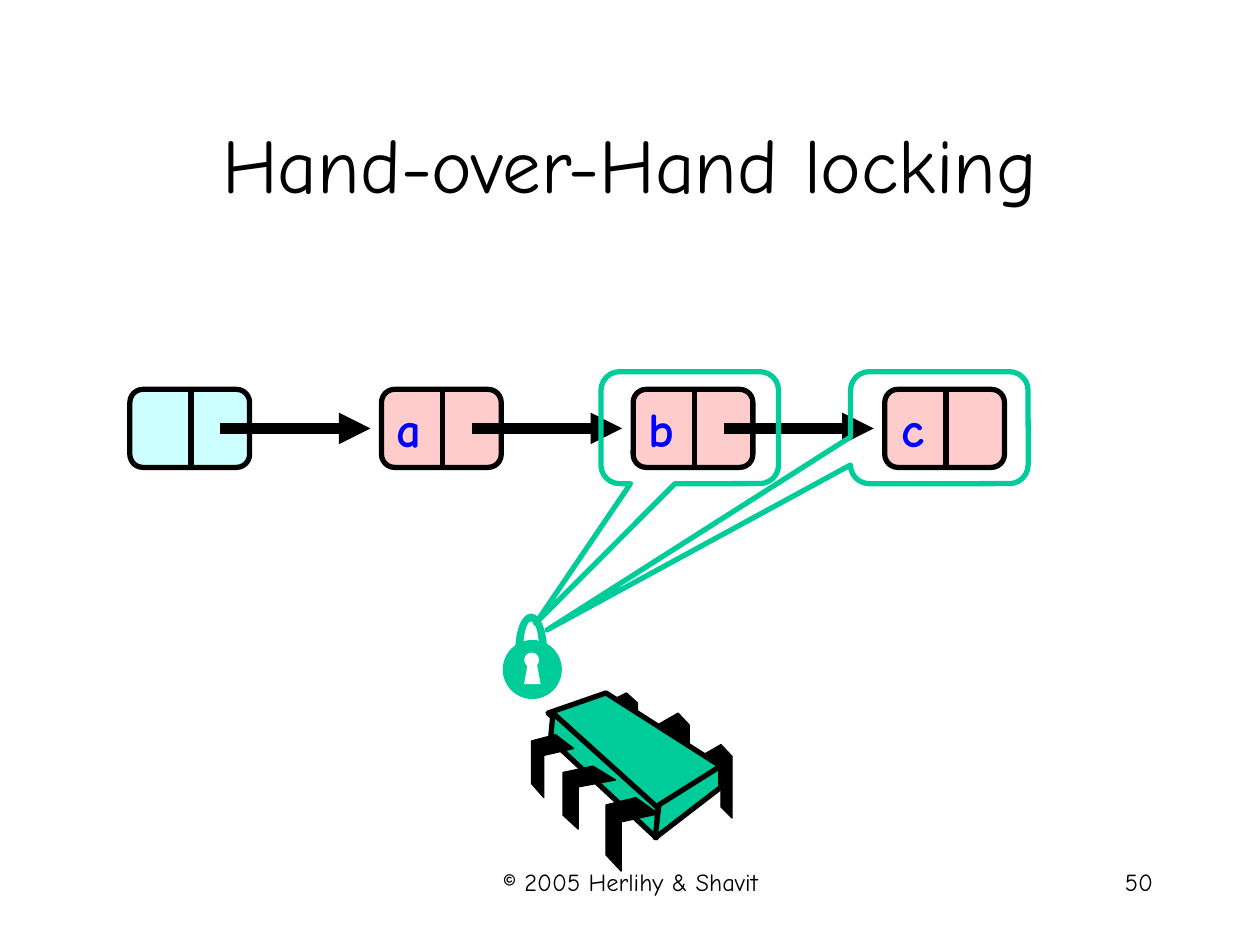
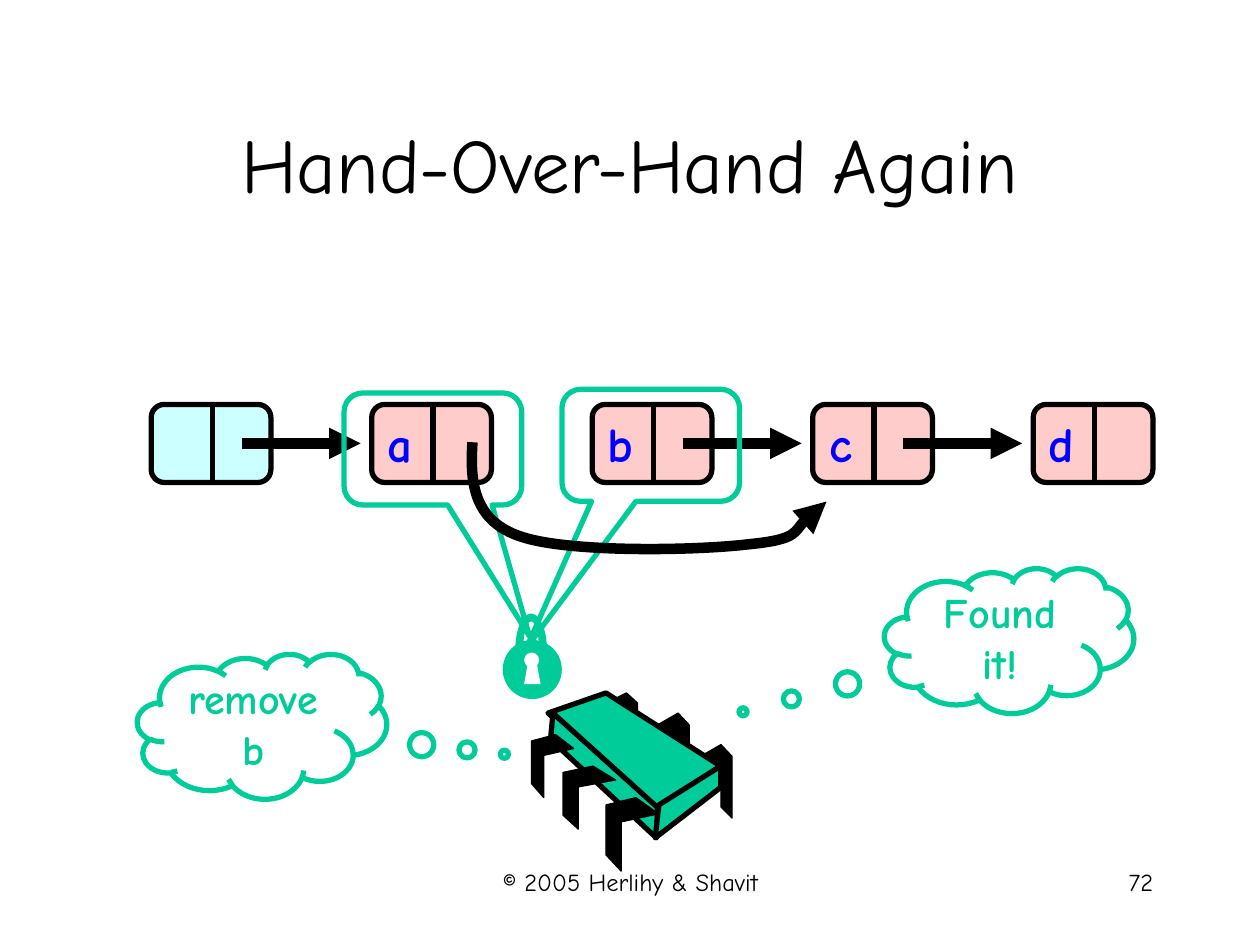
from lxml import etree
from pptx import Presentation
from pptx.dml.color import RGBColor
from pptx.enum.shapes import MSO_CONNECTOR, MSO_SHAPE
from pptx.enum.text import MSO_ANCHOR, MSO_AUTO_SIZE, PP_ALIGN
from pptx.oxml.ns import qn
from pptx.util import Pt

ROUND = MSO_SHAPE.ROUNDED_RECTANGLE
OVAL = MSO_SHAPE.OVAL
ARC = MSO_SHAPE.BLOCK_ARC
CALL = MSO_SHAPE.ROUNDED_RECTANGULAR_CALLOUT
CLOUD = MSO_SHAPE.CLOUD_CALLOUT
LINE = MSO_CONNECTOR.STRAIGHT
LEFT, MID, RIGHT = PP_ALIGN.LEFT, PP_ALIGN.CENTER, PP_ALIGN.RIGHT
TOP, MIDDLE = MSO_ANCHOR.TOP, MSO_ANCHOR.MIDDLE
GROW = MSO_AUTO_SIZE.SHAPE_TO_FIT_TEXT

FONT = "Comic Neue"
BLACK, WHITE, GREEN = "000000", "FFFFFF", "00CC99"
BLUE, PINK, AQUA = "0000FF", "FFCCCC", "CCFFFF"

NODE_W, NODE_H = 68.4, 44.6
BACK = [(0, .16), (.65, 0), (1, .16), (1, 1), (.65, .85), (.65, .29), (0, .43)]
FRONT = [(.57, 0), (1, .22), (.29, .33), (.29, 1), (0, .78), (0, .1)]
BACK_LEGS = [(96.5, 29.5, 18, 42), (72, 11.5, 18, 42), (42.5, 0, 18, 36)]
FRONT_LEGS = [(42.5, 59.8, 30, 42), (18, 41.8, 30, 36), (0, 23.8, 24, 36)]
FACES = [
    [(42.5, 0), (108, 41.8), (71.3, 67), (9.4, 11.5)],
    [(12.2, 11.5), (72, 65.5), (71.3, 82.8), (10.8, 26.6)],
    [(108, 41.8), (108, 54), (70.6, 82.8), (72.7, 64)],
]
KEY = [(12.2, 40.3), (21.6, 40.3), (19.4, 28.1), (14.4, 28.1)]
BYPASS = [(270, 252.7), (268.6, 274.3), (270, 296.6), (295.9, 306),
          (322.6, 316.1), (398.2, 314.6), (427.7, 311),
          (457.2, 308.2), (463, 291.6), (472.3, 286.6)]


def rgb(code):
    return RGBColor.from_string(code)


def put(obj, **vals):
    for name, val in vals.items():
        setattr(obj, name, val)


def paint(shape, fill=None, line=None, width=3):
    shape.shadow.inherit = False
    if fill:
        shape.fill.solid()
        shape.fill.fore_color.rgb = rgb(fill)
    else:
        shape.fill.background()
    if line:
        shape.line.color.rgb = rgb(line)
        shape.line.width = Pt(width)
    else:
        shape.line.fill.background()
    return shape


def form(area, kind, x, y, w, h, adj=(), **look):
    shape = area.add_shape(kind, Pt(x), Pt(y), Pt(w), Pt(h))
    for i, val in enumerate(adj):
        shape.adjustments[i] = val
    return paint(shape, **look)


def outline(area, dots, x=0, y=0, close=True, **look):
    spots = [(Pt(x + a), Pt(y + b)) for a, b in dots]
    maker = area.build_freeform(*spots[0])
    maker.add_line_segments(spots[1:], close=close)
    return paint(maker.convert_to_shape(), **look)


def write(shape, text, size, color, align, bold=False, **frame):
    body = shape.text_frame
    put(body, **{"word_wrap": True, **frame})
    para = body.paragraphs[0]
    para.alignment = align
    run = para.add_run()
    run.text = text
    put(run.font, name=FONT, size=Pt(size), bold=bold)
    run.font.color.rgb = rgb(color)


def label(area, box, *style, **frame):
    write(area.add_textbox(*map(Pt, box)), *style, **frame)


def tip(shape):
    line = shape._element.find(".//" + qn("a:ln"))
    etree.SubElement(line, qn("a:tailEnd"), type="triangle")


def link(area, x1, y1, x2, y2, width):
    line = area.add_connector(LINE, Pt(x1), Pt(y1), Pt(x2), Pt(y2))
    line.line.color.rgb = rgb(BLACK)
    line.line.width = Pt(width)
    etree.SubElement(line._element.spPr, qn("a:effectLst"))
    return line


def node(slide, x, y, text):
    area = slide.shapes.add_group_shape().shapes
    form(area, ROUND, x, y, NODE_W, NODE_H, [.167],
         fill=PINK if text else AQUA, line=BLACK)
    link(area, x + 35, y - .7, x + 35, y + NODE_H + .7, 3)
    if text:
        label(area, (x + 1.8, y + 1.4, 28, 41), text, 28, BLUE, RIGHT, True,
              word_wrap=False, auto_size=GROW)


def chain(slide, x, y, step, names, skip=()):
    for i, name in enumerate(names):
        node(slide, x + i * step, y, name)
    for i in range(len(names) - 1):
        if i not in skip:
            start = x + i * step + 51.7
            mid = y + NODE_H / 2
            tip(link(slide.shapes, start, mid, start + step - 58, mid, 6))


def hold(slide, x, y, adj):
    form(slide.shapes, CALL, x, y, 101.5, 64, [*adj, .167], line=GREEN)


def lock(slide, x, y):
    area = slide.shapes.add_group_shape().shapes
    form(area, OVAL, x, y + 15.1, 33.8, 33.8, fill=GREEN)
    form(area, OVAL, x + 12.2, y + 22.3, 8.6, 8.6, fill=WHITE)
    outline(area, KEY, x, y, fill=WHITE)
    form(area, ARC, x + 7.2, y, 18, 40.3, [108, 0, .25], fill=GREEN)


def legs(area, x, y, unit, boxes):
    for left, top, w, h in boxes:
        dots = [(left + a * w, top + b * h) for a, b in unit]
        outline(area, dots, x, y, fill=BLACK, line=BLACK, width=.75)


def chip(slide, x, y):
    area = slide.shapes.add_group_shape().shapes
    legs(area, x, y, BACK, BACK_LEGS)
    for face in FACES:
        outline(area, face, x, y, fill=GREEN, line=GREEN and BLACK)
    legs(area, x, y, FRONT, FRONT_LEGS)


def thread(slide):
    lock(slide, 287.3, 350.6)
    chip(slide, 303.8, 396)


def think(slide, x, y, text, adj):
    cloud = form(slide.shapes, CLOUD, x, y, 142.5, 82.8, adj, line=GREEN)
    write(cloud, text, 24, GREEN, MID, True, vertical_anchor=MIDDLE)


def bend(slide, dots):
    curve = outline(slide.shapes, dots, close=False, line=BLACK, width=6)
    track = curve._element.find(".//" + qn("a:path"))
    steps = track.findall(qn("a:lnTo"))
    for i in range(0, len(steps), 3):
        arc = etree.SubElement(track, qn("a:cubicBezTo"))
        for step in steps[i:i + 3]:
            arc.append(step[0])
            track.remove(step)
    tip(curve)


def frame(deck, title, page):
    slide = deck.slides.add_slide(deck.slide_layouts[6])
    area = slide.shapes
    label(area, (54, 48.2, 612, 90), title, 44, BLACK, MID,
          vertical_anchor=MIDDLE)
    label(area, (246.2, 491.8, 228.2, 36), "© 2005 Herlihy & Shavit",
          14, BLACK, MID, vertical_anchor=TOP)
    label(area, (516.2, 491.8, 149.8, 36), page, 14, BLACK, RIGHT,
          vertical_anchor=TOP)
    return slide


def locking(deck):
    slide = frame(deck, "Hand-over-Hand locking", "50")
    chain(slide, 74.2, 222.5, 143.8, ["", "a", "b", "c"])
    thread(slide)
    hold(slide, 343.4, 212.4, (-.868, 1.748))
    hold(slide, 486, 212.4, (-2.208, 1.806))


def again(deck):
    slide = frame(deck, "Hand-Over-Hand Again", "72")
    chain(slide, 86.4, 231.1, 126, ["", "a", "b", "c", "d"], skip=[1])
    hold(slide, 196.6, 224.6, (.544, 1.672))
    hold(slide, 321.1, 222.5, (-.699, 1.806))
    thread(slide)
    think(slide, 78.5, 373.7, "remove b", (.972, .192))
    think(slide, 505.4, 324.7, "Found it!", (-1.067, .491))
    bend(slide, BYPASS)


def main():
    deck = Presentation()
    put(deck, slide_width=Pt(720), slide_height=Pt(540))
    locking(deck)
    again(deck)
    deck.save("out.pptx")


if __name__ == "__main__":
    main()
